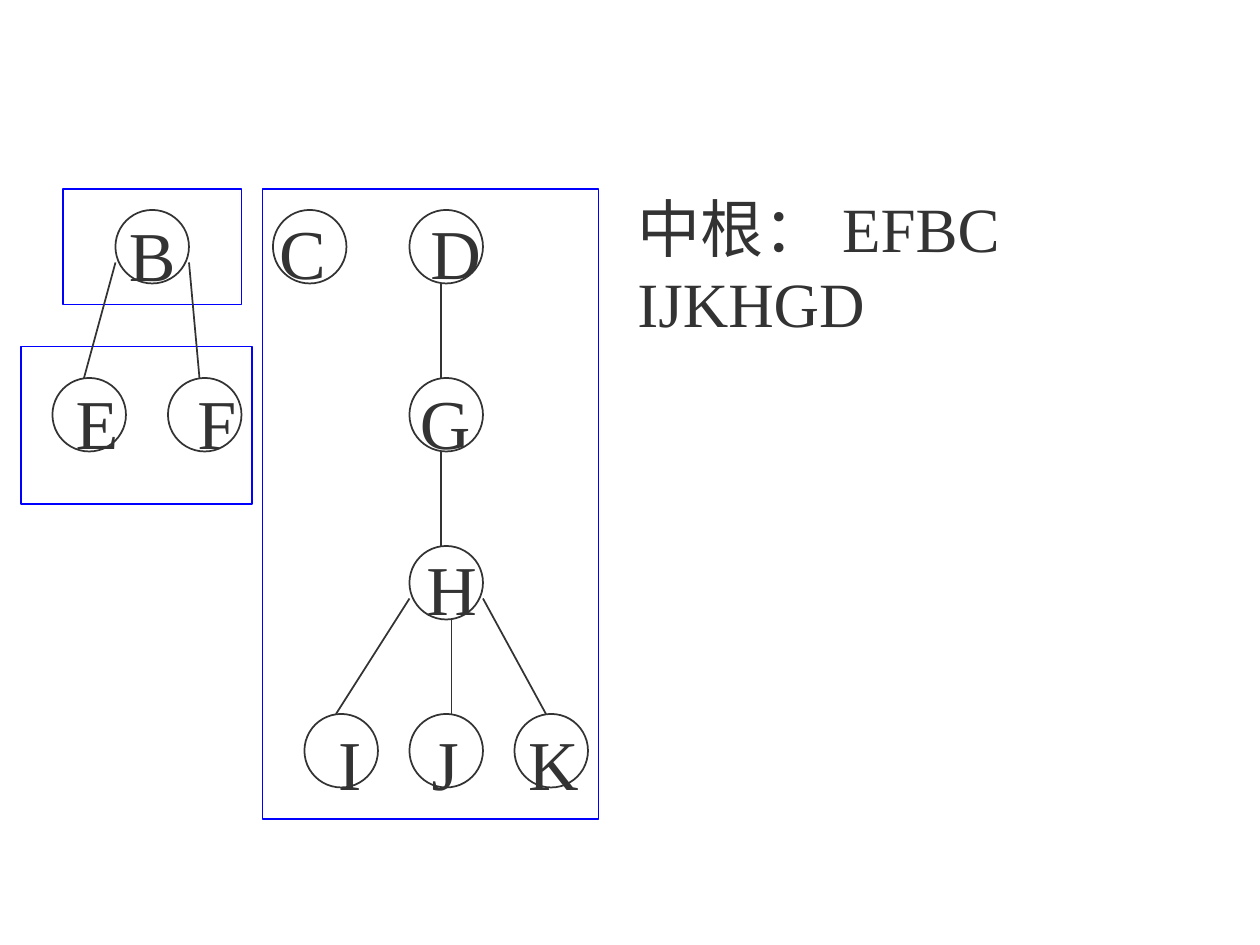
import pptx
import pptx.dml.color
import pptx.enum.shapes
import pptx.enum.text
import pptx.oxml.ns
import pptx.util
from lxml import etree

CELL = pptx.util.Inches(1) / 12
NODE = 7
INK = "333333"
FRAME = "0000FF"
SERIF = "Times New Roman"
HAN = "Noto Sans CJK SC"
LEFT = pptx.enum.text.PP_ALIGN.LEFT
CENTER = pptx.enum.text.PP_ALIGN.CENTER
SHAPES = pptx.enum.shapes.MSO_SHAPE


def cells(*counts):
    return [round(count * CELL) for count in counts]


def within(box, col, row):
    return box[0] + col, box[1] + row


def colour(target, hex_value):
    target.rgb = pptx.dml.color.RGBColor.from_string(hex_value)


def add_element(parent, tag, **attributes):
    return etree.SubElement(parent, pptx.oxml.ns.qn(tag), **attributes)


def outline(line, hex_value):
    colour(line.color, hex_value)
    line.width = pptx.util.Pt(1)


def draw_outline(slide, kind, box, hex_value):
    shape = slide.shapes.add_shape(kind, *cells(*box))
    shape.shadow.inherit = False
    shape.fill.background()
    outline(shape.line, hex_value)
    return shape


def draw_nodes(slide, box, places):
    for col, row in places:
        place = within(box, col, row)
        draw_outline(slide, SHAPES.OVAL, (*place, NODE, NODE), INK)


def draw_branches(slide, box, branches):
    for start_col, start_row, end_col, end_row in branches:
        ends = within(box, start_col, start_row) + within(box, end_col, end_row)
        branch = slide.shapes.add_connector(
            pptx.enum.shapes.MSO_CONNECTOR.STRAIGHT, *cells(*ends))
        outline(branch.line, INK)
        add_element(branch._element.spPr, "a:effectLst")


def prepare_frame(frame, left=0, top=0):
    frame.word_wrap = True
    frame.auto_size = pptx.enum.text.MSO_AUTO_SIZE.NONE
    frame.vertical_anchor = pptx.enum.text.MSO_ANCHOR.TOP
    frame.margin_left, frame.margin_top = cells(left, top)
    frame.margin_right = frame.margin_bottom = 0


def write_letters(paragraph, letters, tabs=(), align=LEFT, indent=0, gap=0):
    paragraph.alignment = align
    properties = paragraph._p.get_or_add_pPr()
    if indent:
        properties.set("marL", str(cells(indent)[0]))
        properties.set("indent", "0")
    if gap:
        paragraph.space_before = pptx.util.Pt(gap)
    if tabs:
        stops = add_element(properties, "a:tabLst")
        for stop in cells(*tabs):
            add_element(stops, "a:tab", pos=str(stop), algn="l")
    paragraph.text = letters
    paragraph.font.name = SERIF
    paragraph.font.size = pptx.util.Pt(40)
    colour(paragraph.font.color, INK)


def add_letters(slide, box, letters, **layout):
    label = slide.shapes.add_textbox(*cells(*box)).text_frame
    prepare_frame(label, top=0.8)
    write_letters(label.paragraphs[0], letters, **layout)
    return label


def binary_tree(slide, box):
    root = draw_outline(slide, SHAPES.RECTANGLE,
                        (*within(box, 4, 0), 17, 11), FRAME).text_frame
    prepare_frame(root, top=2.1)
    write_letters(root.paragraphs[0], "B", align=CENTER)

    children = draw_outline(slide, SHAPES.RECTANGLE,
                            (*within(box, 0, 15), box[2], 15), FRAME).text_frame
    prepare_frame(children, left=5.2, top=3.1)
    write_letters(children.paragraphs[0], "E\tF", tabs=[11.6])

    draw_nodes(slide, box, [(9, 2), (3, 18), (14, 18)])
    draw_branches(slide, box, [(9, 7, 6, 18), (16, 7, 17, 18)])


def deep_tree(slide, box):
    add_letters(slide, (*within(box, 1.6, 1.2), 19.5, 8.3), "C\tD", tabs=[14.4])
    add_letters(slide, (*within(box, 15, 17.3), 5, 8.3), "G")
    lower = add_letters(slide, (*within(box, 7.2, 33.2), 23.2, 24.4), "H", indent=8.4)
    write_letters(lower.add_paragraph(), "I\tJ\tK", tabs=[8.9, 18.1], gap=52)

    draw_nodes(slide, box, [(1, 2), (14, 2), (14, 18), (14, 34)]
               + [(col, 50) for col in (4, 14, 24)])
    draw_branches(slide, box, [
        (17, 9, 17, 18), (17, 25, 17, 34), (18, 41, 18, 50),
        (14, 39, 7, 50), (21, 39, 27, 50)])
    draw_outline(slide, SHAPES.RECTANGLE, box, FRAME)


def traversal_order(slide, box):
    heading = slide.shapes.title
    heading.left, heading.top, heading.width, heading.height = cells(*box)
    prepare_frame(heading.text_frame)
    paragraph = heading.text_frame.paragraphs[0]
    paragraph.alignment = LEFT
    for words, face in (("中根：", HAN), (" EFBC IJKHGD", SERIF)):
        run = paragraph.add_run()
        run.text = words
        run.font.name = face
        run.font.size = pptx.util.Pt(36)
        colour(run.font.color, INK)
        add_element(run._r.get_or_add_rPr(), "a:ea", typeface=face)


def main():
    deck = pptx.Presentation()
    deck.slide_width, deck.slide_height = cells(120, 90)
    slide = deck.slides.add_slide(deck.slide_layouts.get_by_name("Title Only"))
    binary_tree(slide, (2, 18, 22, 30))
    deep_tree(slide, (25, 18, 32, 60))
    traversal_order(slide, (60.7, 18, 55, 16))
    deck.save("out.pptx")


if __name__ == "__main__":
    main()
